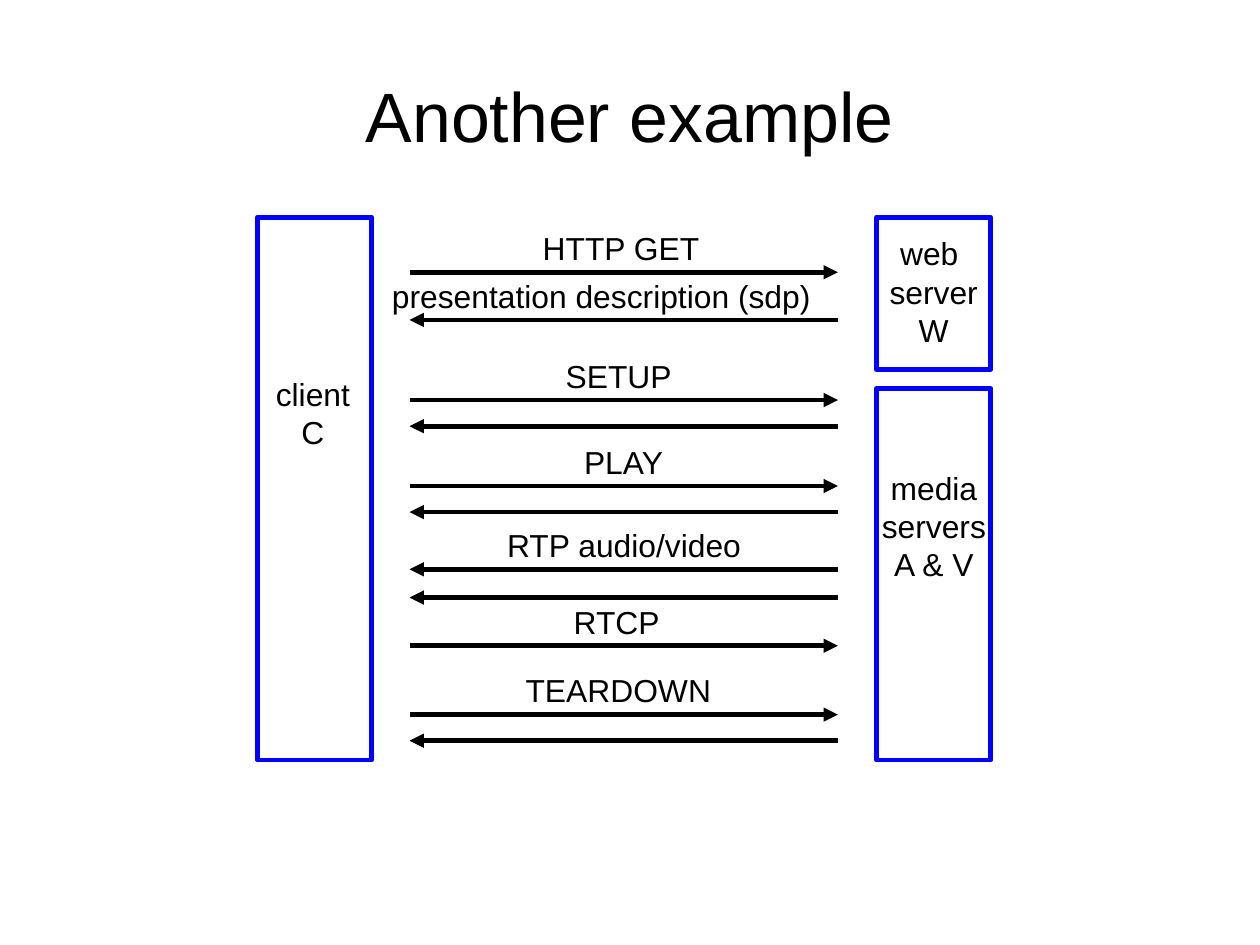
from lxml import etree
from pptx import Presentation
from pptx.dml.color import RGBColor
from pptx.enum.shapes import MSO_CONNECTOR, MSO_SHAPE
from pptx.enum.text import MSO_ANCHOR, PP_ALIGN
from pptx.oxml.ns import qn
from pptx.util import Cm, Pt

BLACK = RGBColor(0, 0, 0)
BLUE = RGBColor(0, 0, 255)
RECTANGLE = MSO_SHAPE.RECTANGLE
STRAIGHT = MSO_CONNECTOR.STRAIGHT
LEFT, CENTER = PP_ALIGN.LEFT, PP_ALIGN.CENTER
TOP, MIDDLE = MSO_ANCHOR.TOP, MSO_ANCHOR.MIDDLE

CLIENT_END, SERVER_END = 9.1, 18.62
LABEL_RISE, LABEL_HEIGHT = 1.09, 1.12
PARTY_WIDTH = 2.54

PARTIES = [
    (5.72, 4.83, 12.06, (5.28, 8.2, 3.35, 1.96), ["client", "C"]),
    (19.48, 4.83, 3.38, (18.92, 5.08, 3.66, 2.79), ["web ", "server", "W"]),
    (19.48, 8.64, 8.25, (18.75, 10.29, 4.01, 2.79), ["media", "servers", "A & V"]),
]
REQUEST, REPLY = True, False
MESSAGES = [
    (6.05, REQUEST, "HTTP GET", 11.81, 5.21),
    (7.11, REPLY, "presentation description (sdp)", 8.46, 11.02),
    (8.89, REQUEST, "SETUP", 12.32, 4.06),
    (9.47, REPLY, None, 0, 0),
    (10.8, REQUEST, "PLAY", 12.73, 3.51),
    (11.38, REPLY, None, 0, 0),
    (12.65, REPLY, "RTP audio/video", 11.02, 6.93),
    (13.28, REPLY, None, 0, 0),
    (14.35, REQUEST, "RTCP", 12.5, 3.63),
    (15.88, REQUEST, "TEARDOWN", 11.43, 5.82),
    (16.46, REPLY, None, 0, 0),
]


class Diagram:
    font_name = "Arial"
    line_width = Pt(3)

    def __init__(self, page):
        self.page = page

    def text(self, place, lines, size=20, align=LEFT, anchor=TOP, spacing=None):
        box = self.page.shapes.add_textbox(*map(Cm, place))
        frame = box.text_frame
        frame.word_wrap = True
        frame.vertical_anchor = anchor
        for index, line in enumerate(lines):
            para = frame.paragraphs[0] if index == 0 else frame.add_paragraph()
            para.alignment = align
            para.line_spacing = spacing
            span = para.add_run()
            span.text = line
            span.font.name = self.font_name
            span.font.size = Pt(size)
            span.font.color.rgb = BLACK
        return box

    def party(self, left, top, height, label_place, lines):
        self.text(label_place, lines, align=CENTER)
        outline = self.page.shapes.add_shape(
            RECTANGLE, Cm(left), Cm(top), Cm(PARTY_WIDTH), Cm(height))
        outline.shadow.inherit = False
        outline.fill.background()
        outline.line.color.rgb = BLUE
        outline.line.width = self.line_width

    def arrow(self, start, end, height):
        arrow = self.page.shapes.add_connector(
            STRAIGHT, Cm(start), Cm(height), Cm(end), Cm(height))
        arrow.line.color.rgb = BLACK
        arrow.line.width = self.line_width
        etree.SubElement(arrow.line._get_or_add_ln(), qn("a:tailEnd"), type="triangle")
        etree.SubElement(arrow._element.spPr, qn("a:effectLst"))

    def message(self, height, is_request, label, label_left, label_width):
        ends = (CLIENT_END, SERVER_END) if is_request else (SERVER_END, CLIENT_END)
        self.arrow(*ends, height)
        if label:
            self.text((label_left, height - LABEL_RISE, label_width, LABEL_HEIGHT), [label])


def main():
    deck = Presentation()
    deck.slide_width, deck.slide_height = Cm(28), Cm(21)
    diagram = Diagram(deck.slides.add_slide(deck.slide_layouts[6]))

    title = diagram.text((1.4, 0.84, 25.2, 3.51), ["Another example"],
                         size=44, align=CENTER, anchor=MIDDLE, spacing=0.93)
    frame = title.text_frame
    frame.margin_left = frame.margin_right = frame.margin_bottom = 0
    frame.margin_top = Cm(0.1)

    for party in PARTIES:
        diagram.party(*party)
    for message in MESSAGES:
        diagram.message(*message)
    deck.save("out.pptx")


if __name__ == "__main__":
    main()
